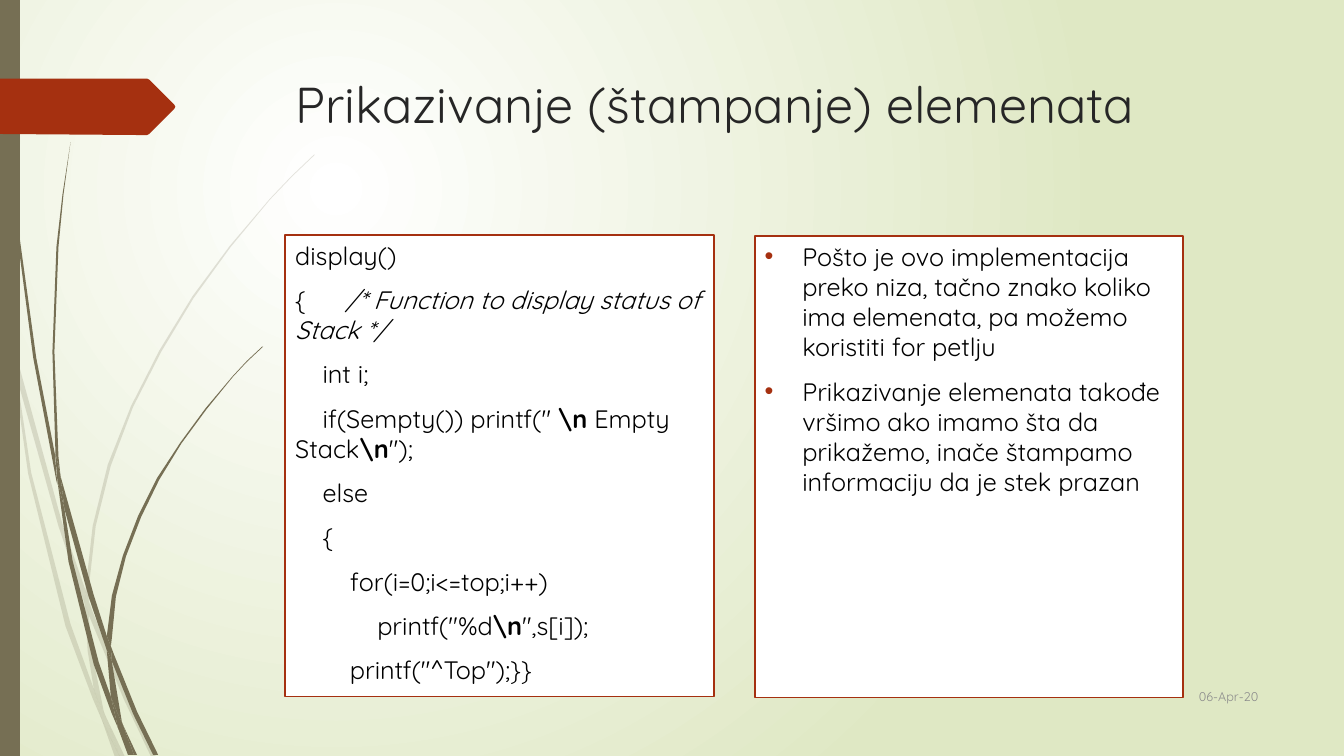
from lxml.etree import SubElement
from pptx import Presentation
from pptx.dml.color import RGBColor
from pptx.enum.shapes import MSO_SHAPE
from pptx.enum.text import MSO_ANCHOR, PP_ALIGN
from pptx.oxml.ns import qn
from pptx.util import Cm, Pt

OLIVE = RGBColor(0x76, 0x6F, 0x54)
RUST = RGBColor(0xA5, 0x30, 0x10)
PALE_GREEN = RGBColor(0xDF, 0xE8, 0xC4)
WHITE = RGBColor(0xFF, 0xFF, 0xFF)
BLACK = RGBColor(0, 0, 0)
CHARCOAL = RGBColor(0x26, 0x26, 0x26)
GRAY = RGBColor(0x8C, 0x8C, 0x8C)

OUTLINE_UNIT = Cm(2.54) / 100
CODE_INDENT = Cm(0.69)
COMMENT_TAB = Cm(3.4)
BULLET_INDENT = Cm(0.95)

PALE_GRASS = [
    [(11, 350), (9, 322), (0, 282), (0, 299), (10, 344)],
    [(58, 522), (84, 599), (85, 586), (62, 520), (14, 345), (17, 376)],
    [(92, 607), (88, 596), (88, 610), (123, 694), (150, 751), (155, 751), (127, 692)],
    [(119, 751), (124, 751), (105, 711)],
    [(93, 683), (70, 619), (31, 469), (17, 376), (11, 350), (28, 470), (65, 621),
     (92, 693), (101, 714), (99, 707)],
    [(84, 599), (87, 646), (93, 683), (96, 692), (105, 711), (103, 706), (91, 646),
     (88, 610), (88, 608)],
    [(88, 584), (95, 522), (110, 462), (132, 404), (160, 349), (192, 296), (229, 245),
     (268, 198), (290, 175), (312, 154), (312, 153), (289, 175), (268, 197), (228, 244),
     (191, 294), (158, 348), (130, 403), (107, 461), (92, 522), (85, 584), (85, 586),
     (88, 596)],
    [(101, 714), (114, 751), (119, 751)],
    [(88, 608), (88, 610), (88, 596), (85, 586), (84, 599)],
    [(96, 692), (93, 683), (99, 707), (101, 714), (119, 751), (105, 711)],
]
DARK_GRASS = [
    [(7, 110), (17, 233), (33, 355), (56, 477), (57, 481), (55, 457), (55, 453),
     (36, 355), (19, 232), (8, 109), (5, 48), (4, 0), (3, 0), (4, 48)],
    [(88, 592), (106, 645), (106, 633), (106, 631), (93, 590), (60, 472), (64, 505)],
    [(113, 649), (110, 641), (111, 656), (132, 708), (152, 749), (157, 749), (136, 706)],
    [(110, 691), (98, 657), (72, 556), (64, 505), (57, 477), (68, 557), (93, 659),
     (111, 708), (117, 722), (116, 717)],
    [(60, 472), (58, 453), (54, 349), (58, 245), (63, 193), (70, 141), (62, 193),
     (56, 245), (52, 349), (55, 449)],
    [(133, 749), (136, 749), (122, 719)],
    [(57, 477), (64, 505), (60, 472), (55, 449), (55, 453)],
    [(111, 633), (115, 592), (125, 552), (140, 513), (158, 476), (180, 440), (205, 406),
     (231, 374), (245, 359), (261, 344), (260, 344), (245, 358), (231, 373), (204, 405),
     (179, 439), (156, 474), (137, 512), (122, 551), (111, 591), (106, 631), (110, 641)],
    [(117, 722), (127, 749), (131, 749)],
    [(106, 645), (110, 691), (116, 706), (122, 719), (121, 716), (111, 656), (109, 651)],
    [(106, 645), (109, 651), (111, 656), (110, 641), (106, 631), (106, 633)],
    [(116, 706), (110, 691), (116, 717), (117, 722), (130, 749), (133, 749), (122, 719)],
]
ARROW_TAG = [(173, 108), (148, 133), (146, 134), (136, 134), (0, 133), (0, 78),
             (146, 78), (148, 79), (173, 104), (174, 106)]

CODE = [
    (0, [("display()", "")]),
    (0, [("{\t", ""), ("/* Function to display status of Stack */", "i")]),
    (1, [("int i;", "")]),
    (1, [('if(Sempty()) printf(" ', ""), ("\\n", "b"), (" Empty Stack", ""),
         ("\\n", "b"), ('");', "")]),
    (1, [("else", "")]),
    (1, [("{", "")]),
    (2, [("for(i=0;i<=top;i++)", "")]),
    (3, [('printf("%d', ""), ("\\n", "b"), ('",s[i]);', "")]),
    (2, [('printf("^Top");}}', "")]),
]
NOTES = [
    "Pošto je ovo implementacija preko niza, tačno znako koliko ima elemenata, "
    "pa možemo koristiti for petlju",
    "Prikazivanje elemenata takođe vršimo ako imamo šta da prikažemo, "
    "inače štampamo informaciju da je stek prazan",
]


class SlideBuilder:
    font = "Quicksand"

    def __init__(self, prs):
        self.s = prs.slides.add_slide(prs.slide_layouts[6])

    def background(self, inner, outer):
        fill = self.s.background.fill
        fill.gradient()
        for stop, color in zip(fill.gradient_stops, (inner, outer)):
            stop.color.rgb = color
        grad = self.s.element.find(".//" + qn("a:gradFill"))
        grad.remove(grad.find(qn("a:lin")))
        circle = SubElement(grad, qn("a:path"), path="circle")
        SubElement(circle, qn("a:fillToRect"), l="50000", t="50000", r="100000", b="100000")

    def paint(self, sp, color, line=None):
        sp.shadow.inherit = False
        sp.fill.solid()
        sp.fill.fore_color.rgb = color
        if line is None:
            sp.line.fill.background()
        else:
            sp.line.color.rgb = line
            sp.line.width = Pt(1.25)

    def outline(self, points, color, opacity=100):
        builder = self.s.shapes.build_freeform(*points[0], scale=OUTLINE_UNIT)
        builder.add_line_segments(points[1:])
        sp = builder.convert_to_shape()
        self.paint(sp, color)
        if opacity < 100:
            clr = sp.fill._xPr.find(".//" + qn("a:srgbClr"))
            SubElement(clr, qn("a:alpha"), val=str(opacity * 1000))

    def rect(self, left, top, width, height, color, line=None):
        sp = self.s.shapes.add_shape(
            MSO_SHAPE.RECTANGLE, Cm(left), Cm(top), Cm(width), Cm(height))
        self.paint(sp, color, line)
        return sp

    def style(self, p, size, color):
        for r in p.runs:
            r.font.name = self.font
            r.font.size = Pt(size)
            r.font.color.rgb = color

    def text(self, left, top, width, height, text, size, color,
             align=PP_ALIGN.LEFT, anchor=MSO_ANCHOR.TOP):
        tf = self.s.shapes.add_textbox(Cm(left), Cm(top), Cm(width), Cm(height)).text_frame
        tf.word_wrap = True
        tf.vertical_anchor = anchor
        p = tf.paragraphs[0]
        p.text = text
        p.alignment = align
        self.style(p, size, color)

    def panel(self, left, top, count):
        tf = self.rect(left, top, 10.8, 11.63, WHITE, RUST).text_frame
        tf.word_wrap = True
        tf.vertical_anchor = MSO_ANCHOR.TOP
        for _ in range(count - 1):
            tf.add_paragraph()
        for p in tf.paragraphs:
            p.alignment = PP_ALIGN.LEFT
            p.space_before = Pt(10)
        return tf.paragraphs

    def code(self, left, top, lines):
        for p, (level, parts) in zip(self.panel(left, top, len(lines)), lines):
            for text, mark in parts:
                r = p.add_run()
                r.text = text
                r.font.bold = mark == "b"
                r.font.italic = mark == "i"
            self.style(p, 18, BLACK)
            pPr = p._p.get_or_add_pPr()
            pPr.set("marL", "0")
            pPr.set("indent", str(level * CODE_INDENT))
            if "\t" in p.text:
                tabs = SubElement(pPr, qn("a:tabLst"))
                SubElement(tabs, qn("a:tab"), pos=str(COMMENT_TAB), algn="l")

    def bullets(self, left, top, items):
        for p, item in zip(self.panel(left, top, len(items)), items):
            p.text = item
            self.style(p, 18, BLACK)
            pPr = p._p.get_or_add_pPr()
            pPr.set("marL", str(BULLET_INDENT))
            pPr.set("indent", str(-BULLET_INDENT))
            color = SubElement(pPr, qn("a:buClr"))
            SubElement(color, qn("a:srgbClr"), val=str(RUST))
            SubElement(pPr, qn("a:buFont"), typeface="Arial")
            SubElement(pPr, qn("a:buChar"), char="•")


def main():
    prs = Presentation()
    prs.slide_width, prs.slide_height = Cm(33.87), Cm(19.05)
    slide = SlideBuilder(prs)
    slide.background(WHITE, PALE_GREEN)
    for blade in PALE_GRASS:
        slide.outline(blade, OLIVE, opacity=20)
    for blade in DARK_GRASS:
        slide.outline(blade, OLIVE)
    slide.rect(0, 0, 0.5, 19.05, OLIVE)
    slide.outline(ARROW_TAG, RUST)
    slide.text(7.2, 1.73, 24.77, 3.56, "Prikazivanje (štampanje) elemenata", 36, CHARCOAL)
    slide.code(7.19, 5.92, CODE)
    slide.text(28.78, 17.02, 3.18, 1.04, "06-Apr-20", 9, GRAY,
               PP_ALIGN.RIGHT, MSO_ANCHOR.MIDDLE)
    slide.bullets(19.02, 5.95, NOTES)
    prs.save("out.pptx")


if __name__ == "__main__":
    main()
